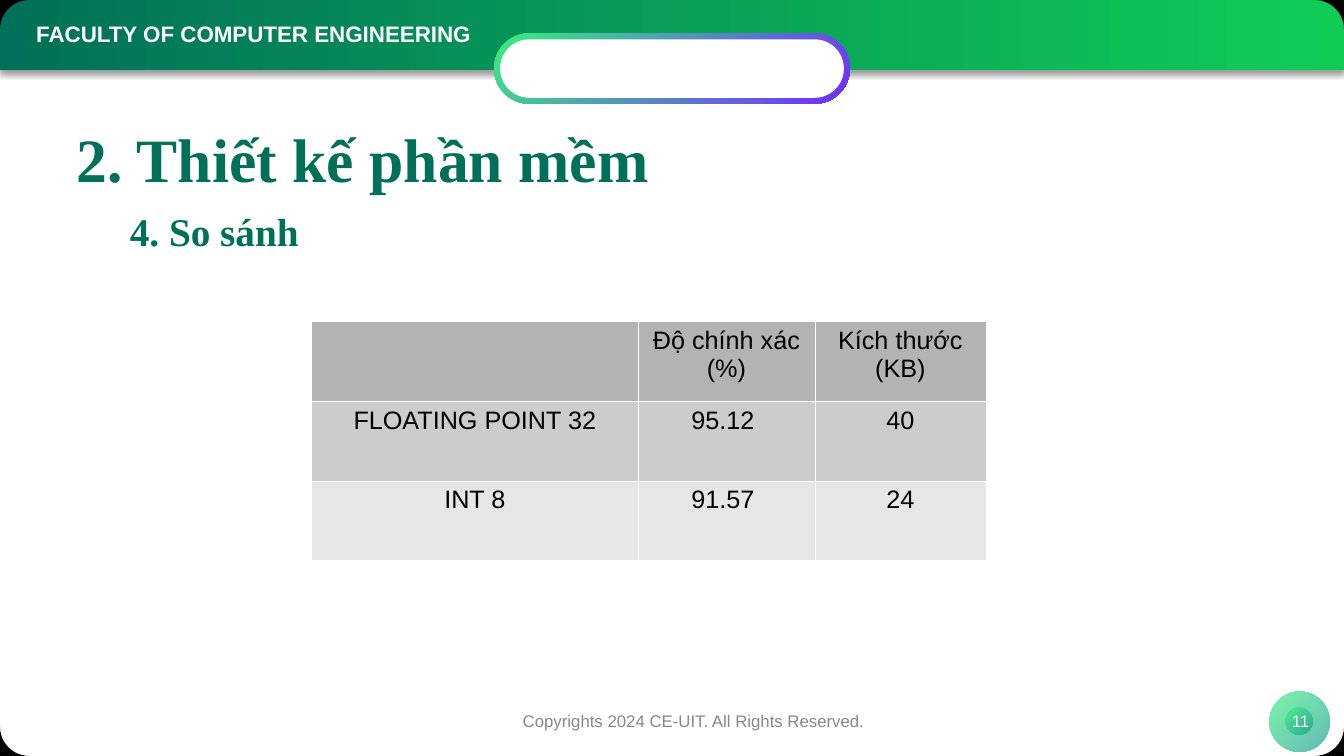
import math
import lxml.etree
import pptx
import pptx.dml.color
import pptx.enum.shapes
import pptx.enum.text
import pptx.oxml
import pptx.oxml.ns
import pptx.util

Inches, Pt = pptx.util.Inches, pptx.util.Pt
SHAPE = pptx.enum.shapes.MSO_SHAPE
ALIGN = pptx.enum.text.PP_ALIGN
ANCHOR = pptx.enum.text.MSO_ANCHOR
qn = pptx.oxml.ns.qn


def color(code):
    return pptx.dml.color.RGBColor.from_string(code)


def style_font(font, size, name, code, bold=False):
    font.size, font.name, font.bold = Pt(size), name, bold
    font.color.rgb = color(code)


deck = pptx.Presentation()
deck.slide_width, deck.slide_height = Inches(13.33), Inches(7.5)
page = deck.slides.add_slide(deck.slide_layouts[6])

# Header band, pill and page badge: kind, box, fill colours, clockwise angle, opacity
decorations = [
    (SHAPE.RECTANGLE, (0, 0, 13.33, 0.69), ("017058", "10CC57"), 0, 100),
    (SHAPE.ROUNDED_RECTANGLE, (4.9, 0.33, 3.53, 0.7), ("38EF7D", "752AFF"), 45, 100),
    (SHAPE.ROUNDED_RECTANGLE, (4.96, 0.39, 3.41, 0.58), ("FFFFFF",), 0, 100),
    (SHAPE.OVAL, (12.59, 6.86, 0.6, 0.6), ("38EF7D", "11998E"), 45, 65),
    (SHAPE.OVAL, (12.75, 7.02, 0.27, 0.27), ("38EF7D", "11998E"), 45, 65),
]
for kind, place, codes, angle, opacity in decorations:
    shape = page.shapes.add_shape(kind, *map(Inches, place))
    shape.shadow.inherit = False
    shape.line.fill.background()
    if kind == SHAPE.ROUNDED_RECTANGLE:
        shape.adjustments[0] = 0.5
    if len(codes) == 1:
        shape.fill.solid()
        shape.fill.fore_color.rgb = color(codes[0])
        continue
    shape.fill.gradient()
    shape.fill.gradient_angle = (360 - angle) % 360
    for stop, code in zip(shape.fill.gradient_stops, codes):
        stop.color.rgb = color(code)
    if opacity < 100:
        for node in shape.fill._xPr.iter(qn("a:srgbClr")):
            lxml.etree.SubElement(node, qn("a:alpha"), val=str(opacity * 1000))
    if kind == SHAPE.RECTANGLE:
        effects = shape._element.spPr.find(qn("a:effectLst"))
        shadow = lxml.etree.SubElement(
            effects, qn("a:outerShdw"), blurRad=str(Pt(4)), dist=str(Pt(3)),
            dir="5400000", algn="t", rotWithShape="0")
        tint = lxml.etree.SubElement(shadow, qn("a:srgbClr"), val="000000")
        lxml.etree.SubElement(tint, qn("a:alpha"), val="40000")

# Black rounded corners of the page
radius = 0.29
for x, inward_x in ((0, 1), (13.33, -1)):
    for y, inward_y in ((0, 1), (7.5, -1)):
        arc = []
        for step in range(13):
            turn = math.pi / 2 * step / 12
            arc.append((Inches(x + inward_x * radius * (1 - math.sin(turn))),
                        Inches(y + inward_y * radius * (1 - math.cos(turn)))))
        outline = page.shapes.build_freeform(Inches(x), Inches(y))
        outline.add_line_segments(arc, close=True)
        corner = outline.convert_to_shape()
        corner.shadow.inherit = False
        corner.fill.solid()
        corner.fill.fore_color.rgb = color("000000")
        corner.line.fill.background()

# Text: wording, box, size, font, colour, bold, alignment, anchor, line spacing
texts = [
    ("FACULTY OF COMPUTER ENGINEERING", (0.26, 0.15, 8.11, 0.37),
     16, "Arial", "FFFFFF", True, ALIGN.LEFT, ANCHOR.TOP, 1.0),
    ("Copyrights 2024 CE-UIT. All Rights Reserved.", (4.63, 6.95, 4.5, 0.4),
     12, "Arial", "888888", False, ALIGN.CENTER, ANCHOR.MIDDLE, 1.0),
    ("11", (11.4, 6.95, 3, 0.4),
     12, "Arial", "FFFFFF", False, ALIGN.CENTER, ANCHOR.MIDDLE, 1.0),
    ("2. Thiết kế phần mềm", (0.66, 1.13, 12.01, 0.97),
     44, "Times New Roman", "017058", True, ALIGN.LEFT, ANCHOR.MIDDLE, 0.9),
    ("4. So sánh", (1.19, 1.83, 5.91, 0.97),
     28, "Times New Roman", "017058", True, ALIGN.LEFT, ANCHOR.MIDDLE, 0.9),
]
for wording, place, size, name, code, bold, align, anchor, spacing in texts:
    box = page.shapes.add_textbox(*map(Inches, place))
    box.text_frame.word_wrap = True
    box.text_frame.vertical_anchor = anchor
    para = box.text_frame.paragraphs[0]
    para.text, para.alignment, para.line_spacing = wording, align, spacing
    style_font(para.font, size, name, code, bold)

# Comparison table
rows = [
    ("B3B3B3", ["", "Độ chính xác (%)", "Kích thước\n(KB)"]),
    ("CCCCCC", ["FLOATING POINT 32", "95.12 ", "40"]),
    ("E6E6E6", ["INT 8", "91.57 ", "24"]),
]
table = page.shapes.add_table(3, 3, Inches(3.09), Inches(3.19),
                              Inches(6.69), Inches(2.36)).table
table.first_row = table.horz_banding = False
for column, width in zip(table.columns, (3.24, 1.75, 1.7)):
    column.width = Inches(width)
for row_index, (fill, wordings) in enumerate(rows):
    table.rows[row_index].height = Inches(0.79)
    for column_index, wording in enumerate(wordings):
        cell = table.cell(row_index, column_index)
        cell.text = wording
        for para in cell.text_frame.paragraphs:
            para.alignment = ALIGN.CENTER
            style_font(para.font, 18, "Arial", "000000")
        properties = cell._tc.get_or_add_tcPr()
        for side in ("a:lnL", "a:lnR", "a:lnT", "a:lnB"):
            border = lxml.etree.SubElement(properties, qn(side), w=str(Pt(0.06)))
            paint = lxml.etree.SubElement(border, qn("a:solidFill"))
            lxml.etree.SubElement(paint, qn("a:srgbClr"), val="FFFFFF")
        cell.fill.solid()
        cell.fill.fore_color.rgb = color(fill)

deck.save("out.pptx")
